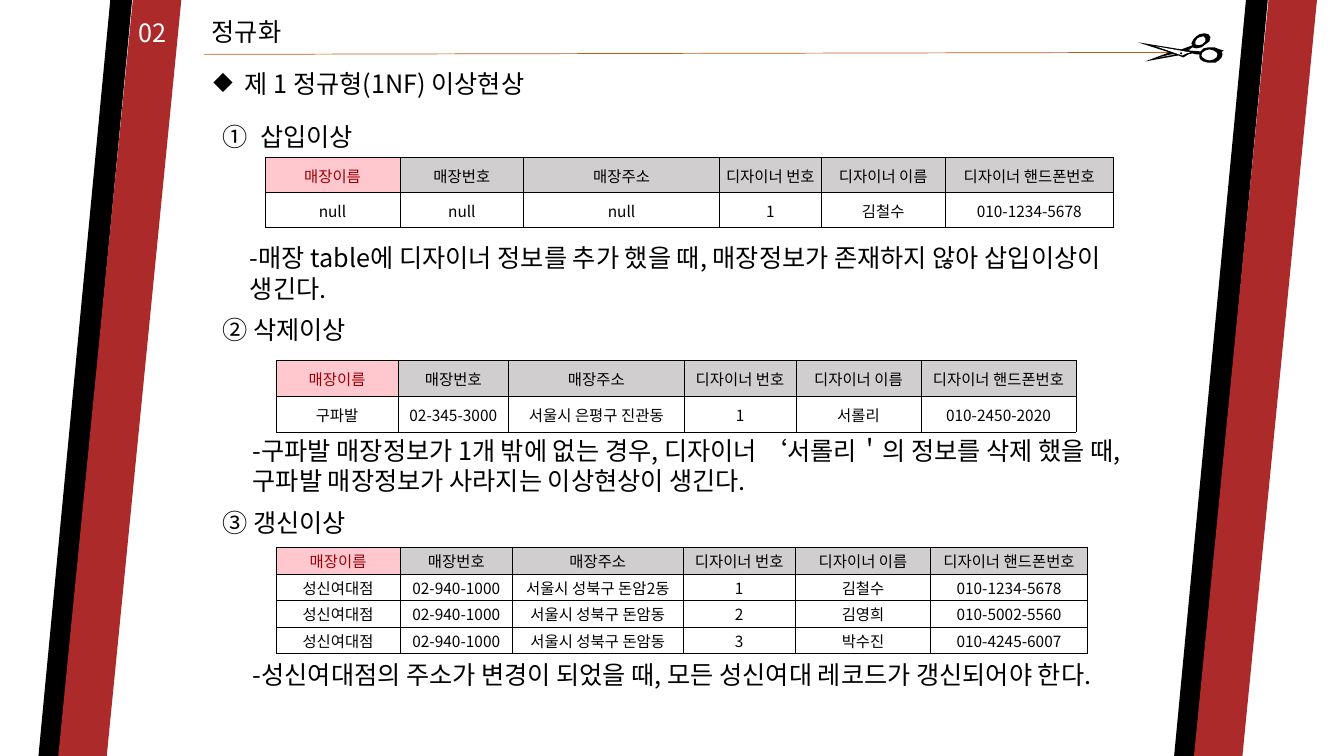
from dataclasses import dataclass
from typing import Any, NamedTuple

import lxml.etree
import pptx
import pptx.dml.color
import pptx.enum.shapes
import pptx.enum.text
import pptx.oxml.ns
import pptx.util

Cm = pptx.util.Cm
qn = pptx.oxml.ns.qn


@dataclass(frozen=True)
class Theme:
    font: str = "Noto Sans CJK KR"
    text_size: float = 18
    cell_size: float = 11
    hairline: float = 0.5
    black: str = "000000"
    white: str = "FFFFFF"
    red: str = "AC2A2A"
    orange: str = "C55A11"
    key_fill: str = "FFC7CE"
    key_text: str = "9C0006"
    header_fill: str = "D0CECE"


THEME = Theme()


class Bar(NamedTuple):
    left: float
    width: float
    slant: float
    color: str


class Label(NamedTuple):
    text: str
    left: float
    top: float
    width: float
    height: float = 1.02
    color: str = THEME.black
    wrap: bool = True
    indent: float = 0
    bullet: tuple[str, str, str] | None = None


class Grid(NamedTuple):
    left: float
    top: float
    row_height: float
    columns: list[float]
    records: list[list[str]]


class Outline(NamedTuple):
    color: str
    contours: list[list[tuple[int, int]]]


HEADER = ["매장이름", "매장번호", "매장주소", "디자이너 번호", "디자이너 이름", "디자이너 핸드폰번호"]
BARS = [
    Bar(left + offset, width, slant, color)
    for left in (0.97, 29.59)
    for offset, width, slant, color in (
        (0, 2.36, 0.767, THEME.black),
        (0.5, 3.1, 0.606, THEME.red),
    )
]
TITLE = Label("정규화", 5.08, 0.28, 2.44, wrap=False)
LABELS = [
    Label("02", 3.23, 0.3, 1.27, color=THEME.white, wrap=False),
    Label("제 1 정규형(1NF) 이상현상", 5.13, 1.6, 15.21, indent=0.79, bullet=("a:buChar", "char", "◆")),
    Label("삽입이상", 5.36, 2.92, 5.59, indent=0.95, bullet=("a:buAutoNum", "type", "circleNumDbPlain")),
    Label("② 삭제이상", 5.36, 7.8, 5.59),
    Label("③ 갱신이상", 5.36, 12.65, 5.59),
    Label("-매장 table에 디자이너 정보를 추가 했을 때, 매장정보가 존재하지 않아 삽입이상이 생긴다.",
          6.05, 5.99, 23.11, 1.8),
    Label("-구파발 매장정보가 1개 밖에 없는 경우, 디자이너 ‘서롤리＇의 정보를 삭제 했을 때, "
          "구파발 매장정보가 사라지는 이상현상이 생긴다.", 6.12, 10.85, 23.11, 1.8),
    Label("-성신여대점의 주소가 변경이 되었을 때, 모든 성신여대 레코드가 갱신되어야 한다.",
          6.12, 16.48, 23.11, 1.8),
]
GRIDS = [
    Grid(6.68, 3.96, 0.89, [3.4, 3.12, 4.93, 2.57, 3.12, 4.24],
         [["null", "null", "null", "1", "김철수", "010-1234-5678"]]),
    Grid(6.96, 9.07, 0.91, [3.07, 2.79, 4.42, 2.82, 3.15, 3.91],
         [["구파발", "02-345-3000", "서울시 은평구 진관동", "1", "서롤리", "010-2450-2020"]]),
    Grid(6.96, 13.79, 0.67, [3.12, 2.84, 4.29, 2.84, 3.4, 3.96],
         [["성신여대점", "02-940-1000", *record] for record in (
             ("서울시 성북구 돈암2동", "1", "김철수", "010-1234-5678"),
             ("서울시 성북구 돈암동", "2", "김영희", "010-5002-5560"),
             ("서울시 성북구 돈암동", "3", "박수진", "010-4245-6007"))]),
]
SCISSORS = [
    Outline(THEME.black, [
        [(1214, 50), (1212, 52), (1213, 54), (1212, 57), (1209, 60), (1206, 62), (1202, 62),
         (1198, 62), (1194, 61), (1191, 59), (1190, 57), (1190, 54), (1187, 54), (1183, 53),
         (1179, 54), (1174, 57), (1169, 55), (1136, 61), (1160, 52), (1129, 42), (1172, 49),
         (1183, 45), (1182, 43), (1184, 39), (1187, 36), (1190, 34), (1195, 33), (1199, 34),
         (1201, 37), (1200, 41), (1196, 44), (1192, 47), (1187, 48), (1183, 47), (1179, 50),
         (1191, 51), (1194, 48), (1199, 47), (1205, 47), (1210, 49)],
        [(1193, 57), (1196, 59), (1200, 60), (1204, 59), (1207, 57), (1208, 54), (1207, 52),
         (1204, 50), (1200, 49), (1196, 50), (1193, 52), (1192, 55)],
        [(1188, 38), (1186, 41), (1186, 44), (1189, 45), (1193, 44), (1196, 41), (1196, 38),
         (1194, 36), (1190, 37)],
    ]),
    Outline(THEME.white, [[(1173, 55), (1147, 46), (1181, 52), (1177, 53)]]),
    Outline(THEME.white, [[(1166, 54), (1162, 54), (1150, 57)]]),
]


def rgb(color: str) -> pptx.dml.color.RGBColor:
    return pptx.dml.color.RGBColor.from_string(color)


def paint(shape: Any, color: str) -> None:
    shape.shadow.inherit = False
    shape.fill.solid()
    shape.fill.fore_color.rgb = rgb(color)
    shape.line.fill.background()


def add_text(paragraph: Any, text: str, size: float, color: str) -> None:
    run = paragraph.add_run()
    run.text = text
    run.font.name = THEME.font
    run.font.size = pptx.util.Pt(size)
    run.font.color.rgb = rgb(color)
    east_asian = lxml.etree.SubElement(run.font._element, qn("a:ea"))
    east_asian.set("typeface", THEME.font)


def write_label(shape: Any, label: Label) -> None:
    shape.left, shape.top = Cm(label.left), Cm(label.top)
    shape.width, shape.height = Cm(label.width), Cm(label.height)
    frame = shape.text_frame
    frame.word_wrap = label.wrap
    frame.auto_size = pptx.enum.text.MSO_AUTO_SIZE.SHAPE_TO_FIT_TEXT
    frame.vertical_anchor = pptx.enum.text.MSO_ANCHOR.TOP
    paragraph = frame.paragraphs[0]
    paragraph.alignment = pptx.enum.text.PP_ALIGN.LEFT
    if label.bullet:
        tag, attribute, value = label.bullet
        properties = paragraph._p.get_or_add_pPr()
        properties.set("marL", str(Cm(label.indent)))
        properties.set("indent", str(-Cm(label.indent)))
        lxml.etree.SubElement(properties, qn(tag)).set(attribute, value)
    add_text(paragraph, label.text, THEME.text_size, label.color)


def add_borders(cell: Any) -> None:
    properties = cell._tc.get_or_add_tcPr()
    for index, side in enumerate(("a:lnL", "a:lnR", "a:lnT", "a:lnB")):
        border = lxml.etree.Element(qn(side), w=str(pptx.util.Pt(THEME.hairline)))
        fill = lxml.etree.SubElement(border, qn("a:solidFill"))
        lxml.etree.SubElement(fill, qn("a:srgbClr")).set("val", THEME.black)
        properties.insert(index, border)


def add_grid(shapes: Any, grid: Grid) -> None:
    rows = [HEADER, *grid.records]
    table = shapes.add_table(
        len(rows), len(HEADER), Cm(grid.left), Cm(grid.top),
        Cm(sum(grid.columns)), Cm(grid.row_height * len(rows)),
    ).table
    for column, width in zip(table.columns, grid.columns):
        column.width = Cm(width)
    for row_index, values in enumerate(rows):
        table.rows[row_index].height = Cm(grid.row_height)
        for column_index, value in enumerate(values):
            cell = table.cell(row_index, column_index)
            is_key = row_index == 0 and column_index == 0
            cell.margin_left = cell.margin_right = cell.margin_top = Cm(0.02)
            cell.margin_bottom = 0
            cell.vertical_anchor = pptx.enum.text.MSO_ANCHOR.MIDDLE
            if row_index == 0:
                cell.fill.solid()
                cell.fill.fore_color.rgb = rgb(THEME.key_fill if is_key else THEME.header_fill)
            else:
                cell.fill.background()
            add_borders(cell)
            paragraph = cell.text_frame.paragraphs[0]
            paragraph.alignment = pptx.enum.text.PP_ALIGN.CENTER
            add_text(paragraph, value, THEME.cell_size, THEME.key_text if is_key else THEME.black)


def add_outline(shapes: Any, outline: Outline) -> None:
    first, *holes = outline.contours
    builder = shapes.build_freeform(*first[0], scale=Cm(0.0254))
    builder.add_line_segments(first[1:], close=True)
    for hole in holes:
        builder.move_to(*hole[0])
        builder.add_line_segments(hole[1:], close=True)
    paint(builder.convert_to_shape(), outline.color)


def main() -> None:
    presentation = pptx.Presentation()
    presentation.slide_width, presentation.slide_height = Cm(33.87), Cm(19.05)
    slide = presentation.slides.add_slide(presentation.slide_layouts[5])
    shapes = slide.shapes
    kinds = pptx.enum.shapes.MSO_SHAPE
    for bar in BARS:
        shape = shapes.add_shape(kinds.PARALLELOGRAM, Cm(bar.left), 0, Cm(bar.width), Cm(19.05))
        shape.adjustments[0] = bar.slant
        paint(shape, bar.color)
    rule = shapes.add_connector(
        pptx.enum.shapes.MSO_CONNECTOR.STRAIGHT, Cm(5.13), Cm(1.37), Cm(29.69), Cm(1.32))
    rule.line.color.rgb = rgb(THEME.orange)
    rule.line.width = pptx.util.Pt(THEME.hairline)
    lxml.etree.SubElement(rule._element.spPr, qn("a:effectLst"))
    for outline in SCISSORS:
        add_outline(shapes, outline)
    paint(shapes.add_shape(kinds.OVAL, Cm(29.74), Cm(1.32), Cm(0.05), Cm(0.05)), THEME.black)
    write_label(shapes.title, TITLE)
    for label in LABELS:
        write_label(shapes.add_textbox(0, 0, 0, 0), label)
    for grid in GRIDS:
        add_grid(shapes, grid)
    presentation.save("out.pptx")


if __name__ == "__main__":
    main()
